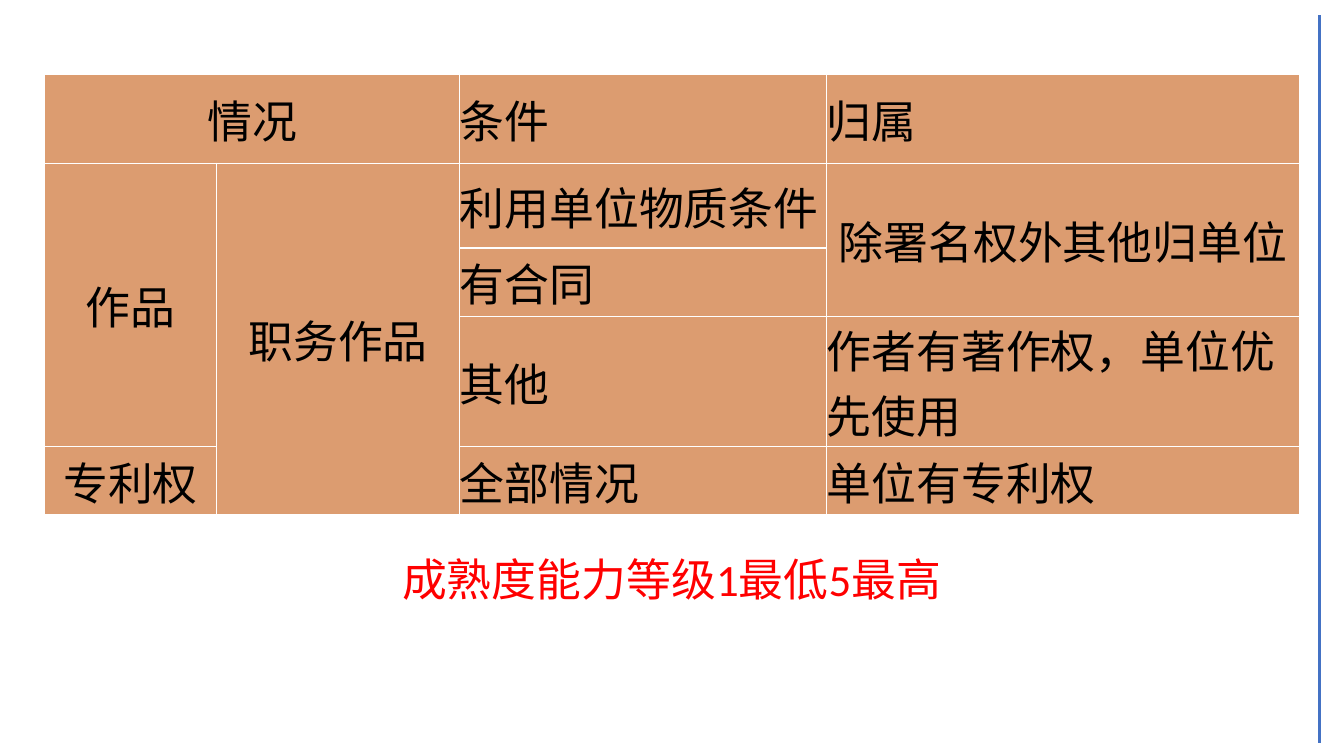
"""Build a slide on the ownership of works and patents made at work."""
import pptx
import pptx.dml.color
import pptx.enum.shapes
import pptx.enum.text
import pptx.oxml
import pptx.oxml.ns
import pptx.util
from lxml import etree

Inches = pptx.util.Inches
Pt = pptx.util.Pt
RGBColor = pptx.dml.color.RGBColor
PP_ALIGN = pptx.enum.text.PP_ALIGN
qn = pptx.oxml.ns.qn

ORANGE = RGBColor(0xC5, 0x5A, 0x11)
WHITE = RGBColor(0xFF, 0xFF, 0xFF)
BLACK = RGBColor(0, 0, 0)
RED = RGBColor(0xFF, 0, 0)
BLUE = RGBColor(0x44, 0x72, 0xC4)

COLUMN_WIDTHS = [1.71, 2.41, 3.64, 4.69]
ROW_HEIGHTS = [0.88, 0.84, 0.68, 1.12, 0.68]
ROWS = [
    ["情况", "", "条件", "归属"],
    ["作品", "职务作品", "利用单位物质条件", "除署名权外其他归单位"],
    ["", "", "有合同", ""],
    ["", "", "其他", "作者有著作权，单位优先使用"],
    ["专利权", "", "全部情况", "单位有专利权"],
]
MERGES = [((0, 0), (0, 1)), ((1, 0), (3, 0)), ((1, 1), (4, 1)), ((1, 3), (2, 3))]
CENTRED = {(0, 0), (1, 0), (1, 1), (1, 3), (4, 0)}


class SlideBuilder:
    """Hold the text style and the current slide."""

    text_size = Pt(32)
    latin_font = "Calibri"
    table_font = "Noto Sans CJK SC"
    fill_opacity = 60
    border_width = Pt(1)

    def __init__(self, presentation):
        self.slide = presentation.slides.add_slide(presentation.slide_layouts[6])

    def format_text(self, paragraph, font_name, color):
        for run in paragraph.runs:
            run.font.size = self.text_size
            run.font.name = font_name
            run.font.color.rgb = color

    def add_borders(self, cell):
        properties = cell._tc.get_or_add_tcPr()
        for position, side in enumerate(("lnL", "lnR", "lnT", "lnB")):
            border = pptx.oxml.parse_xml(
                f'<a:{side} xmlns:a="{pptx.oxml.ns.nsuri("a")}" w="{self.border_width}">'
                f'<a:solidFill><a:srgbClr val="{WHITE}"/></a:solidFill></a:{side}>'
            )
            properties.insert(position, border)

    def format_cell(self, cell, text, centred):
        cell.margin_left = cell.margin_right = cell.margin_top = cell.margin_bottom = 0
        cell.vertical_anchor = pptx.enum.text.MSO_ANCHOR.MIDDLE
        cell.fill.solid()
        cell.fill.fore_color.rgb = ORANGE
        color = cell._tc.tcPr.find(".//" + qn("a:srgbClr"))
        etree.SubElement(color, qn("a:alpha"), val=str(self.fill_opacity * 1000))
        self.add_borders(cell)
        cell.text_frame.text = text
        paragraph = cell.text_frame.paragraphs[0]
        paragraph.alignment = PP_ALIGN.CENTER if centred else PP_ALIGN.LEFT
        self.format_text(paragraph, self.table_font, BLACK)
        for run in paragraph.runs:
            east_asian = etree.SubElement(run.font._element, qn("a:ea"))
            east_asian.set("typeface", self.table_font)

    def add_table(self, left, top):
        shape = self.slide.shapes.add_table(
            len(ROWS), len(COLUMN_WIDTHS), Inches(left), Inches(top),
            Inches(sum(COLUMN_WIDTHS)), Inches(sum(ROW_HEIGHTS)))
        table = shape.table
        table.first_row = table.horz_banding = False
        for column, width in zip(table.columns, COLUMN_WIDTHS):
            column.width = Inches(width)
        for row, height in zip(table.rows, ROW_HEIGHTS):
            row.height = Inches(height)
        for row_index, texts in enumerate(ROWS):
            for column_index, text in enumerate(texts):
                place = (row_index, column_index)
                self.format_cell(table.cell(*place), text, place in CENTRED)
        for first, last in MERGES:
            table.cell(*first).merge(table.cell(*last))

    def add_text(self, text, left, top, width, height, color):
        shape = self.slide.shapes.add_textbox(
            Inches(left), Inches(top), Inches(width), Inches(height))
        text_frame = shape.text_frame
        text_frame.word_wrap = True
        text_frame.auto_size = pptx.enum.text.MSO_AUTO_SIZE.SHAPE_TO_FIT_TEXT
        text_frame.text = text
        self.format_text(text_frame.paragraphs[0], self.latin_font, color)

    def add_vertical_line(self, left, top, bottom, color, width):
        connector = self.slide.shapes.add_connector(
            pptx.enum.shapes.MSO_CONNECTOR.STRAIGHT,
            Inches(left), Inches(top), Inches(left), Inches(bottom))
        connector.line.color.rgb = color
        connector.line.width = Pt(width)
        etree.SubElement(connector._element.spPr, qn("a:effectLst"))


def main():
    presentation = pptx.Presentation()
    presentation.slide_width = Inches(13.33)
    presentation.slide_height = Inches(7.5)
    builder = SlideBuilder(presentation)
    builder.add_table(0.44, 0.74)
    builder.add_text("成熟度能力等级1最低5最高", 3.89, 5.42, 5.56, 0.64, RED)
    builder.add_vertical_line(13.09, 0.15, 7.37, BLUE, 2)
    presentation.save("out.pptx")


if __name__ == "__main__":
    main()
